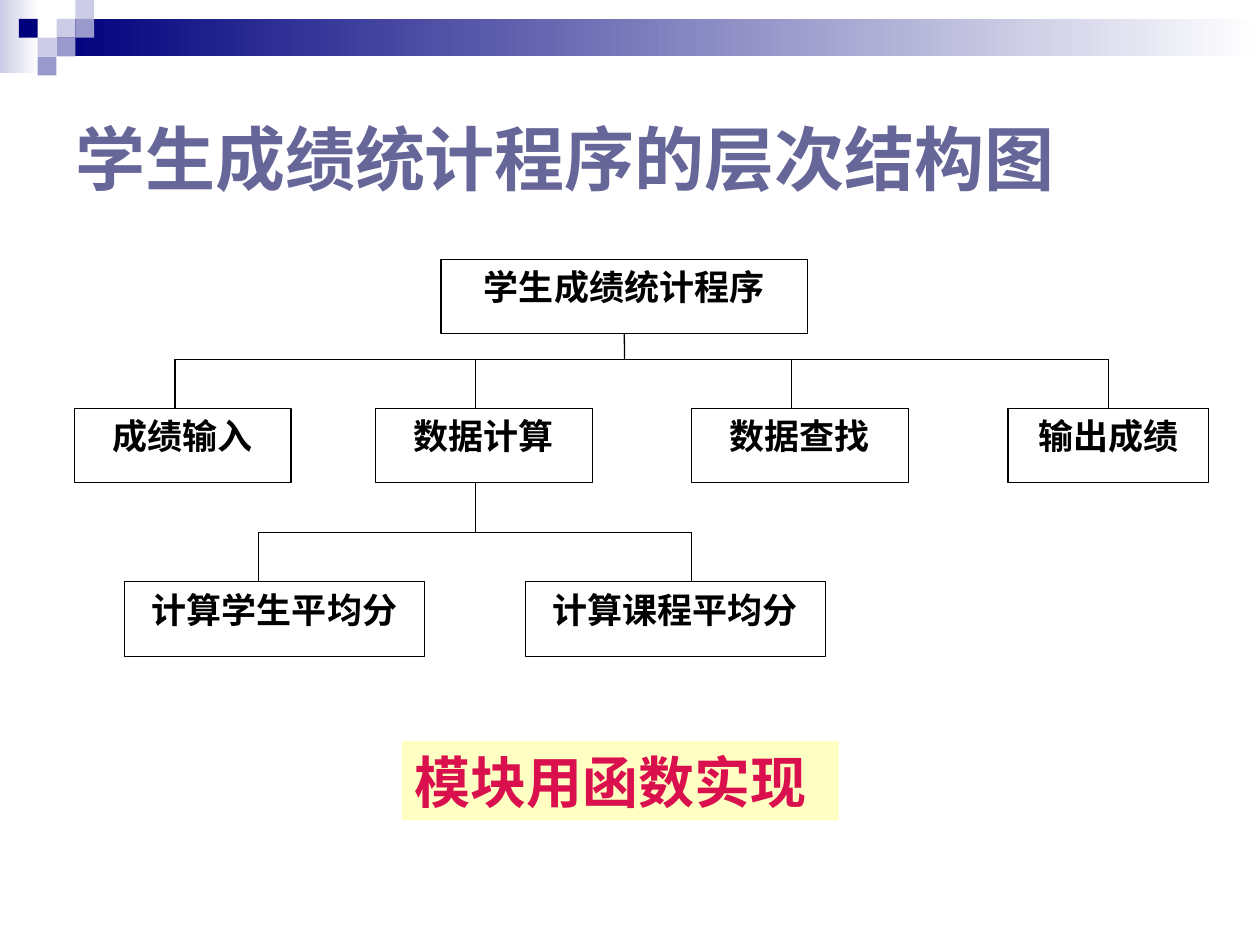
import pptx
import pptx.dml.color
import pptx.enum.shapes
import pptx.enum.text
import pptx.oxml.ns
import pptx.util
from lxml import etree

Cm = pptx.util.Cm
RGBColor = pptx.dml.color.RGBColor
WHITE = RGBColor(0xFF, 0xFF, 0xFF)
BLACK = RGBColor(0x00, 0x00, 0x00)
NAVY = RGBColor(0x00, 0x00, 0x7D)
LAVENDER = RGBColor(0xCC, 0xCC, 0xE6)
PERIWINKLE = RGBColor(0x99, 0x99, 0xCC)
SLATE = RGBColor(0x66, 0x66, 0x99)
CREAM = RGBColor(0xFF, 0xFF, 0xC3)
CRIMSON = RGBColor(0xD9, 0x0F, 0x4E)

presentation = pptx.Presentation()
presentation.slide_width = Cm(25.4)
presentation.slide_height = Cm(19.05)
slide = presentation.slides.add_slide(presentation.slide_layouts[6])


def add_rectangle(left, top, width, height, color):
    shape = slide.shapes.add_shape(
        pptx.enum.shapes.MSO_SHAPE.RECTANGLE, Cm(left), Cm(top), Cm(width), Cm(height))
    shape.shadow.inherit = False
    shape.fill.solid()
    shape.fill.fore_color.rgb = color
    shape.line.fill.background()
    return shape


def write_text(shape, text, size, font_name, color, alignment, anchor):
    text_frame = shape.text_frame
    text_frame.text = text
    text_frame.word_wrap = True
    text_frame.vertical_anchor = anchor
    paragraph = text_frame.paragraphs[0]
    paragraph.alignment = alignment
    font = paragraph.runs[0].font
    font.size = pptx.util.Pt(size)
    font.name = font_name
    font.bold = True
    font.color.rgb = color


LEFT = pptx.enum.text.PP_ALIGN.LEFT
CENTER = pptx.enum.text.PP_ALIGN.CENTER
TOP = pptx.enum.text.MSO_ANCHOR.TOP
MIDDLE = pptx.enum.text.MSO_ANCHOR.MIDDLE

for left, top, width, height, color in [
    (0, 0, 0.79, 1.47, LAVENDER),
    (1.14, 0.38, 24.26, 0.76, NAVY),
]:
    band = add_rectangle(left, top, width, height, color)
    band.fill.gradient()
    band.fill.gradient_angle = 0
    for stop, stop_color, position in zip(band.fill.gradient_stops, (color, WHITE), (0, 1)):
        stop.color.rgb = stop_color
        stop.position = position

SQUARE = 0.38
for column, row, color in [
    (3, 1, LAVENDER),
    (4, 0, LAVENDER),
    (4, 1, PERIWINKLE),
    (2, 2, LAVENDER),
    (1, 1, NAVY),
    (3, 2, PERIWINKLE),
    (2, 3, PERIWINKLE),
]:
    add_rectangle(column * SQUARE, row * SQUARE, SQUARE, SQUARE, color)

BOX_HEIGHT = 1.5
ROOT_TOP, MODULE_TOP, DETAIL_TOP = 5.23, 8.23, 11.73
boxes = {}
for text, left, top, width in [
    ("学生成绩统计程序", 8.89, ROOT_TOP, 7.39),
    ("成绩输入", 1.5, MODULE_TOP, 4.37),
    ("数据计算", 7.57, MODULE_TOP, 4.37),
    ("数据查找", 13.94, MODULE_TOP, 4.37),
    ("输出成绩", 20.32, MODULE_TOP, 4.04),
    ("计算学生平均分", 2.51, DETAIL_TOP, 6.05),
    ("计算课程平均分", 10.59, DETAIL_TOP, 6.05),
]:
    box = add_rectangle(left, top, width, BOX_HEIGHT, WHITE)
    box.line.color.rgb = BLACK
    box.line.width = pptx.util.Pt(0.75)
    write_text(box, text, 20, "Times New Roman", BLACK, CENTER, TOP)
    boxes[text] = box

MODULE_BUS, DETAIL_BUS = 7.24, 10.74
branches = []
for parent_x, parent_top, bus, child_top, child_xs in [
    (12.59, ROOT_TOP, MODULE_BUS, MODULE_TOP, (3.53, 9.58, 15.95, 22.34)),
    (9.58, MODULE_TOP, DETAIL_BUS, DETAIL_TOP, (5.21, 13.94)),
]:
    branches.append((child_xs[0], bus, child_xs[-1], bus))
    branches.append((parent_x, parent_top + BOX_HEIGHT, parent_x, bus))
    branches.extend((x, bus, x, child_top) for x in child_xs)

for start_x, start_y, end_x, end_y in branches:
    connector = slide.shapes.add_connector(
        pptx.enum.shapes.MSO_CONNECTOR.STRAIGHT,
        Cm(start_x), Cm(start_y), Cm(end_x), Cm(end_y))
    connector.line.color.rgb = BLACK
    connector.line.width = pptx.util.Pt(0.75)
    etree.SubElement(connector._element.spPr, pptx.oxml.ns.qn("a:effectLst"))
    if (start_x, end_y) == (12.59, MODULE_BUS):
        connector.begin_connect(boxes["学生成绩统计程序"], 2)
    if (start_x, end_y) == (22.34, MODULE_TOP):
        connector.end_connect(boxes["输出成绩"], 0)

title = slide.shapes.add_textbox(Cm(1.27), Cm(1.27), Cm(22.86), Cm(3.81))
write_text(title, "学生成绩统计程序的层次结构图", 40, "Arial", SLATE, LEFT, MIDDLE)

callout = add_rectangle(8.1, 14.94, 8.81, 1.6, CREAM)
write_text(callout, "模块用函数实现", 32, "Times New Roman", CRIMSON, LEFT, TOP)
callout.text_frame.auto_size = pptx.enum.text.MSO_AUTO_SIZE.SHAPE_TO_FIT_TEXT

presentation.save("out.pptx")
